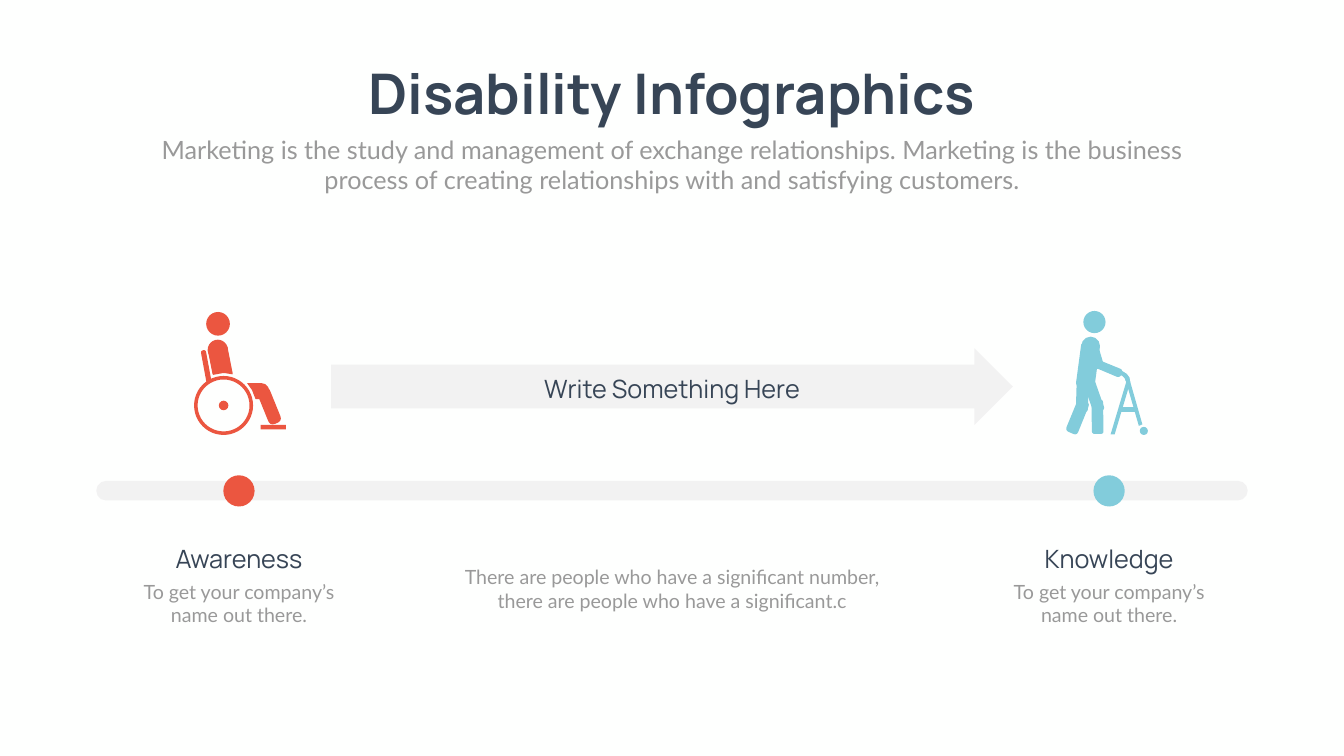
import math
from dataclasses import dataclass

import lxml.etree
import pptx
import pptx.dml.color
import pptx.enum.shapes
import pptx.enum.text
import pptx.oxml.ns
import pptx.util

Inches = pptx.util.Inches
Preset = pptx.enum.shapes.MSO_SHAPE
Point = tuple[float, float]
COLORS = {
    "background": "FEFFFE",
    "heading": "374556",
    "body": "999999",
    "track": "F2F2F2",
    "red": "EB5640",
    "blue": "82CCDB",
}
CURVE_STEPS = 6


@dataclass(frozen=True)
class Style:
    font: str
    size: int
    color: str
    bold: bool = False


@dataclass(frozen=True)
class Stage:
    center: float
    color: str
    heading: str
    description: str


@dataclass(frozen=True)
class Part:
    preset: Preset
    left: float
    top: float
    width: float
    height: float


@dataclass(frozen=True)
class Outline:
    corners: list[Point]
    radius: float = 0


TITLE = Style("Manrope", 80, "heading", True)
SUBTITLE = Style("Lato", 36, "body")
HEADING = Style("Manrope", 36, "heading")
DETAIL = Style("Lato", 28, "body")

STAGES = [
    Stage(4.74, "red", "Awareness", "To get your company’s name out there."),
    Stage(22, "blue", "Knowledge", "To get your company’s name out there."),
]


def circle(left: float, top: float, diameter: float) -> Part:
    return Part(Preset.OVAL, left, top, diameter, diameter)


WHEELCHAIR_USER = [
    circle(4.09, 6.19, 0.47),
    Outline([(5.08, 7.76), (5.32, 7.66), (5.6, 8.35), (5.36, 8.45)], 0.11),
    circle(4.12, 6.74, 0.4),
    Outline([(3.98, 6.96), (4.08, 6.94), (4.2, 7.59), (4.1, 7.61)], 0.05),
    circle(4.34, 7.95, 0.19),
    Part(Preset.DONUT, 3.85, 7.46, 1.17, 1.17),
    Outline([(4.9, 7.6), (5.18, 7.6), (5.18, 7.92), (5.07, 7.92), (5, 7.74)]),
    circle(5.02, 7.6, 0.32),
    Outline([(4.12, 6.94), (4.51, 6.87), (4.62, 7.43), (4.44, 7.4), (4.22, 7.44)], 0.02),
    Part(Preset.RECTANGLE, 5.17, 8.43, 0.5, 0.09),
]

HANDLE_OUTER = [(22.17, 7.37), (22.27, 7.37), (22.35, 7.42), (22.4, 7.49), (22.42, 7.58)]
HANDLE_INNER = [(22.34, 7.58), (22.31, 7.5), (22.26, 7.45), (22.17, 7.44)]
WALKER_USER = [
    circle(21.49, 6.17, 0.44),
    Outline([(21.74, 7.12), (22.28, 7.34), (22.21, 7.5), (21.69, 7.28)], 0.07),
    Outline([(21.58, 6.8), (21.75, 6.75), (21.91, 7.29), (21.74, 7.34)], 0.08),
    Outline([(21.39, 7.91), (21.62, 8), (21.36, 8.64), (21.13, 8.54)], 0.08),
    Outline([(21.36, 7.5), (21.59, 7.5), (21.58, 8.18), (21.34, 8.18)], 0.08),
    Outline([(21.47, 7.56), (21.69, 7.48), (21.92, 8.13), (21.7, 8.2)], 0.08),
    Outline([(21.65, 7.93), (21.88, 7.93), (21.89, 8.61), (21.66, 8.61)], 0.06),
    circle(21.35, 7.42, 0.37),
    circle(21.45, 6.68, 0.37),
    Outline([(21.45, 6.81), (21.82, 6.86), (21.71, 7.68), (21.34, 7.63)], 0.04),
    Outline(HANDLE_OUTER + [(22.11, 8.62), (22.03, 8.62)] + HANDLE_INNER),
    circle(22.61, 8.47, 0.16),
    Outline(HANDLE_OUTER + [(22.66, 8.42), (22.59, 8.45)] + HANDLE_INNER),
    Part(Preset.RECTANGLE, 22.21, 8.08, 0.32, 0.09),
]


def rgb(color: str) -> pptx.dml.color.RGBColor:
    return pptx.dml.color.RGBColor.from_string(COLORS[color])


def paint(shape, color: str) -> None:
    shape.shadow.inherit = False
    shape.fill.solid()
    shape.fill.fore_color.rgb = rgb(color)
    shape.line.fill.background()


def add_part(shapes, part: Part, color: str, adjustments: tuple[float, ...] = ()) -> None:
    box = [Inches(value) for value in (part.left, part.top, part.width, part.height)]
    shape = shapes.add_shape(part.preset, *box)
    for index, value in enumerate(adjustments):
        shape.adjustments[index] = value
    paint(shape, color)


def toward(start: Point, end: Point, distance: float) -> Point:
    share = min(distance / math.dist(start, end), 0.5)
    return start[0] + share * (end[0] - start[0]), start[1] + share * (end[1] - start[1])


def rounded(outline: Outline) -> list[Point]:
    if not outline.radius:
        return outline.corners
    points = []
    for index, corner in enumerate(outline.corners):
        following = outline.corners[(index + 1) % len(outline.corners)]
        entry = toward(corner, outline.corners[index - 1], outline.radius)
        leave = toward(corner, following, outline.radius)
        for step in range(CURVE_STEPS + 1):
            t = step / CURVE_STEPS
            points.append(tuple(
                (1 - t) ** 2 * a + 2 * t * (1 - t) * b + t ** 2 * c
                for a, b, c in zip(entry, corner, leave)
            ))
    return points


def add_outline(shapes, outline: Outline, color: str) -> None:
    points = [(Inches(x), Inches(y)) for x, y in rounded(outline)]
    builder = shapes.build_freeform(*points[0])
    builder.add_line_segments(points[1:], close=True)
    paint(builder.convert_to_shape(), color)


def add_figure(slide, elements: list[Part | Outline], color: str) -> None:
    shapes = slide.shapes.add_group_shape().shapes
    for element in elements:
        if isinstance(element, Outline):
            add_outline(shapes, element, color)
        else:
            ring = (0.06,) if element.preset == Preset.DONUT else ()
            add_part(shapes, element, color, ring)


def write(shape, text: str, style: Style) -> None:
    frame = shape.text_frame
    frame.text = text
    frame.word_wrap = True
    frame.auto_size = pptx.enum.text.MSO_AUTO_SIZE.NONE
    frame.vertical_anchor = pptx.enum.text.MSO_ANCHOR.TOP
    paragraph = frame.paragraphs[0]
    paragraph.alignment = pptx.enum.text.PP_ALIGN.CENTER
    paragraph.space_before = pptx.util.Pt(0)
    font = paragraph.runs[0].font
    font.name, font.size, font.bold = style.font, pptx.util.Pt(style.size), style.bold
    font.color.rgb = rgb(style.color)


def fill_placeholder(shape, box: tuple[float, ...], text: str, style: Style) -> None:
    shape.left, shape.top, shape.width, shape.height = map(Inches, box)
    write(shape, text, style)


def add_label(slide, center: float, top: float, width: float, height: float,
              text: str, style: Style) -> None:
    box = map(Inches, (center - width / 2, top, width, height))
    write(slide.shapes.add_textbox(*box), text, style)


def main() -> None:
    presentation = pptx.Presentation()
    presentation.slide_width, presentation.slide_height = Inches(26.66), Inches(15)
    slide = presentation.slides.add_slide(presentation.slide_layouts[1])
    slide.background.fill.solid()
    slide.background.fill.fore_color.rgb = rgb("background")

    fill_placeholder(slide.shapes.title, (6.71, 1.12, 13.24, 1.45), "Disability Infographics", TITLE)
    subtitle = slide.placeholders[1]
    fill_placeholder(
        subtitle, (2.92, 2.61, 20.82, 1.31),
        "Marketing is the study and management of exchange relationships. Marketing is the "
        "business process of creating relationships with and satisfying customers.", SUBTITLE)
    properties = subtitle.text_frame.paragraphs[0]._p.get_or_add_pPr()
    properties.set("marL", "0")
    properties.set("indent", "0")
    lxml.etree.SubElement(properties, pptx.oxml.ns.qn("a:buNone"))

    add_part(slide.shapes, Part(Preset.ROUNDED_RECTANGLE, 1.91, 9.54, 22.84, 0.39), "track", (0.5,))
    for stage, figure in zip(STAGES, (WHEELCHAIR_USER, WALKER_USER)):
        add_part(slide.shapes, circle(stage.center - 0.31, 9.43, 0.62), stage.color)
        add_label(slide, stage.center, 11.45, 4.59, 1.04, stage.description, DETAIL)
        add_label(slide, stage.center, 10.74, 4, 0.71, stage.heading, HEADING)
        add_figure(slide, figure, stage.color)

    add_part(slide.shapes, Part(Preset.RIGHT_ARROW, 6.57, 6.91, 13.52, 1.52), "track", (0.57, 0.5))
    add_label(slide, 13.33, 7.35, 6.82, 0.71, "Write Something Here", HEADING)
    add_label(slide, 13.33, 11.16, 8.55, 1.04,
              "There are people who have a significant number, "
              "there are people who have a significant.c", DETAIL)
    presentation.save("out.pptx")


if __name__ == "__main__":
    main()
